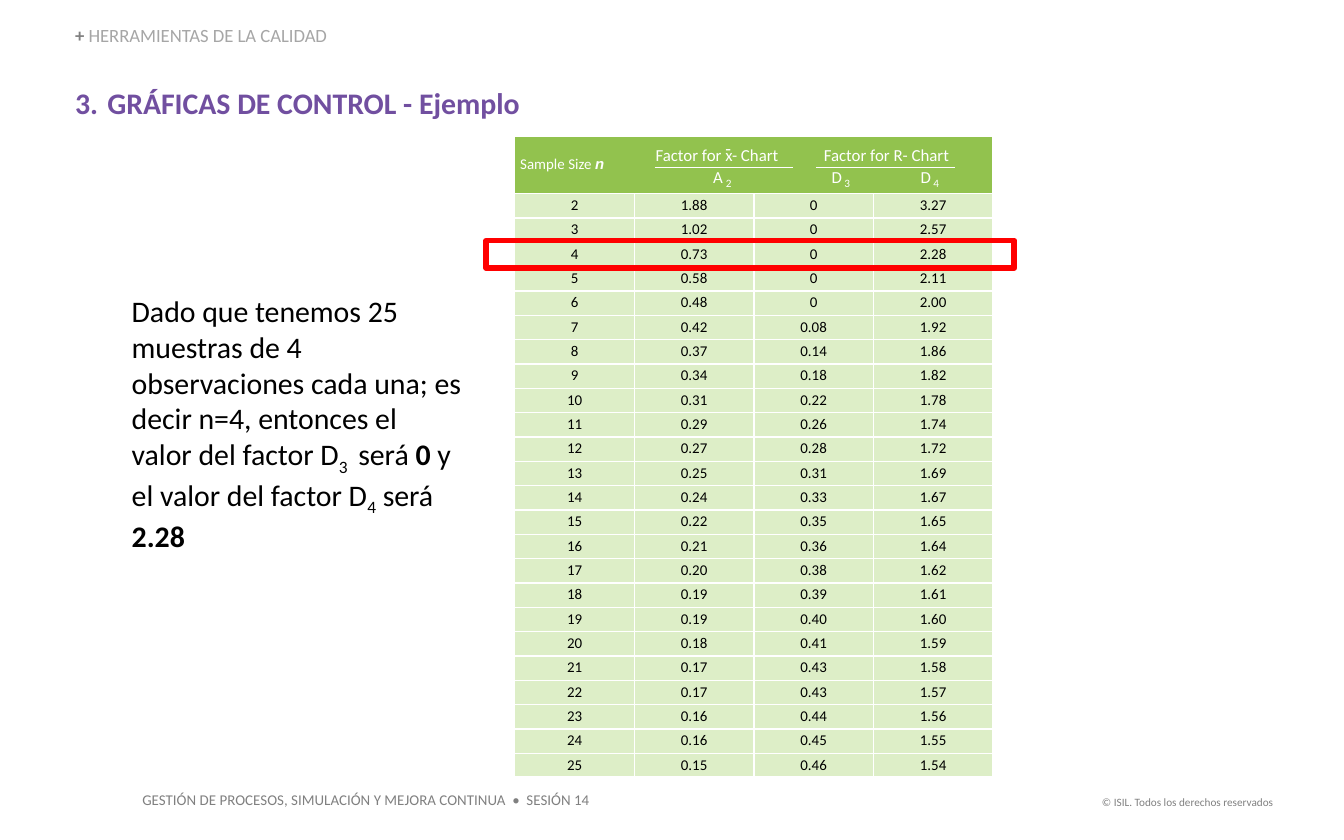
from dataclasses import dataclass

from lxml.etree import SubElement
from pptx import Presentation
from pptx.dml.color import RGBColor
from pptx.enum.shapes import MSO_CONNECTOR, MSO_SHAPE
from pptx.enum.text import MSO_ANCHOR, MSO_AUTO_SIZE, PP_ALIGN
from pptx.oxml import parse_xml
from pptx.oxml.ns import nsdecls, qn
from pptx.util import Cm, Pt


@dataclass(frozen=True)
class Theme:
    font: str = "Calibri"
    symbol_font: str = "Arial"
    black: str = "000000"
    white: str = "FFFFFF"
    gray: str = "808080"
    light_gray: str = "A6A6A6"
    purple: str = "714FA0"
    green: str = "92C24E"
    pale_green: str = "DDEEC7"
    red: str = "FF0000"
    heading: int = 16
    section: int = 10
    label: int = 9
    small: int = 8
    tiny: int = 6


T = Theme()

# Content
COPYRIGHT = "© ISIL. Todos los derechos reservados"
FOOTER = "GESTIÓN DE PROCESOS, SIMULACIÓN Y MEJORA CONTINUA  •  SESIÓN 14"
SECTION = [("+ ", {"bold": True}),
           ("HERRAMIENTAS DE LA CALIDAD", {"color": T.light_gray})]
TITLE, TITLE_NUMBER = "GRÁFICAS DE CONTROL - Ejemplo", 3
BODY = [
    ("Dado que tenemos 25 muestras de 4 observaciones cada una; es decir n=4, "
     "entonces el valor del factor D", {}),
    ("3 ", {"sub": True}), (" será ", {}), ("0 ", {"bold": True}),
    ("y el valor del factor D", {}), ("4", {"sub": True}), (" será ", {}),
    ("2.28", {"bold": True}),
]
SAMPLE_HEAD = [("Sample Size ", {}),
               ("n", {"bold": True, "italic": True, "font": T.symbol_font})]
FIRST_N, MARKED_N = 2, 4
A2 = ("1.88 1.02 0.73 0.58 0.48 0.42 0.37 0.34 0.31 0.29 0.27 0.25 "
      "0.24 0.22 0.21 0.20 0.19 0.19 0.18 0.17 0.17 0.16 0.16 0.15").split()
D3 = ("0 0 0 0 0 0.08 0.14 0.18 0.22 0.26 0.28 0.31 "
      "0.33 0.35 0.36 0.38 0.39 0.40 0.41 0.43 0.43 0.44 0.45 0.46").split()
D4 = ("3.27 2.57 2.28 2.11 2.00 1.92 1.86 1.82 1.78 1.74 1.72 1.69 "
      "1.67 1.65 1.64 1.62 1.61 1.60 1.59 1.58 1.57 1.56 1.55 1.54").split()
FACTORS = [(str(n), *row) for n, row in enumerate(zip(A2, D3, D4), FIRST_N)]

# Header labels: text, left, width (cm); symbols: letter, subscript, left
CHART_HEADS = [("Factor for x- Chart", 12.14, 2.84),
               ("Factor for R- Chart", 15.32, 3.28)]
SYMBOLS = [("A", "2", 13.23), ("D", "3", 15.47), ("D", "4", 17.15)]
RULES, RULE_Y, RULE_W = (12.37, 15.42), 3.17, 2.62

# Table geometry (cm)
LEFT, TOP, COL_W = 9.73, 2.57, 2.26
HEAD_H, ROW_H, LAST_H = 1.09, 0.46, 0.42


def add_runs(p, runs, size, color):
    for text, style in runs:
        r = p.add_run()
        r.text = text
        r.font.name = style.get("font", T.font)
        r.font.size = Pt(size)
        r.font.bold = style.get("bold", False)
        r.font.italic = style.get("italic", False)
        r.font.color.rgb = RGBColor.from_string(style.get("color", color))
        if style.get("sub"):
            r.font._element.set("baseline", "-25000")


def add_text(shapes, box, runs, size, color, margins=None, wrap=True):
    tf = shapes.add_textbox(*map(Cm, box)).text_frame
    tf.word_wrap = wrap
    tf.auto_size = MSO_AUTO_SIZE.SHAPE_TO_FIT_TEXT
    if margins:
        (tf.margin_left, tf.margin_top,
         tf.margin_right, tf.margin_bottom) = map(Cm, margins)
    p = tf.paragraphs[0]
    runs = [(runs, {})] if isinstance(runs, str) else runs
    add_runs(p, runs, size, color)
    return tf, p


def style_cell(cell, runs, fill, align):
    cell.margin_left = cell.margin_right = Cm(0.1)
    cell.margin_top = cell.margin_bottom = Cm(0.05)
    cell.fill.solid()
    cell.fill.fore_color.rgb = RGBColor.from_string(fill)
    for i, side in enumerate(("lnL", "lnR", "lnT", "lnB")):
        cell._tc.get_or_add_tcPr().insert(i, parse_xml(
            f'<a:{side} {nsdecls("a")} w="{Pt(0.75)}"><a:solidFill>'
            f'<a:srgbClr val="{T.white}"/></a:solidFill></a:{side}>'))
    p = cell.text_frame.paragraphs[0]
    p.alignment = align
    add_runs(p, runs, T.small, T.white if fill == T.green else T.black)


def add_factor_table(shapes):
    heights = [HEAD_H] + [ROW_H] * (len(FACTORS) - 1) + [LAST_H]
    table = shapes.add_table(len(heights), 4, Cm(LEFT), Cm(TOP),
                             Cm(4 * COL_W), Cm(sum(heights))).table
    for col in table.columns:
        col.width = Cm(COL_W)
    for row, height in zip(table.rows, heights):
        row.height = Cm(height)
    head = table.cell(0, 0)
    head.merge(table.cell(0, 3))
    head.vertical_anchor = MSO_ANCHOR.MIDDLE
    style_cell(head, SAMPLE_HEAD, T.green, PP_ALIGN.LEFT)
    for i, values in enumerate(FACTORS, 1):
        for j, value in enumerate(values):
            style_cell(table.cell(i, j), [(value, {})], T.pale_green, PP_ALIGN.CENTER)


def add_header_labels(shapes):
    for text, left, width in CHART_HEADS:
        add_text(shapes, (left, 2.62, width, 0.64), text, T.label, T.white)
    for letter, index, left in SYMBOLS:
        add_text(shapes, (left, 3.02, 0.64, 0.64), letter, T.label, T.white)
        add_text(shapes, (left + 0.24, 3.2, 0.64, 0.51), index, T.tiny, T.white)
    # Bar over the x
    add_text(shapes, (13.46, 2.46, 0.64, 0.69), "-", T.section, T.white)
    for left in RULES:
        line = shapes.add_connector(MSO_CONNECTOR.STRAIGHT, Cm(left), Cm(RULE_Y),
                                    Cm(left + RULE_W), Cm(RULE_Y))
        line.line.color.rgb = RGBColor.from_string(T.white)
        line.line.width = Pt(0.75)
        SubElement(line._element.spPr, qn("a:effectLst"))


def add_row_marker(shapes):
    top = TOP + HEAD_H + (MARKED_N - FIRST_N) * ROW_H - 0.03
    sp = shapes.add_shape(MSO_SHAPE.RECTANGLE, Cm(9.19), Cm(top), Cm(9.98), Cm(0.52))
    sp.shadow.inherit = False
    sp.fill.background()
    sp.line.color.rgb = RGBColor.from_string(T.red)
    sp.line.width = Pt(3)


def main():
    prs = Presentation()
    prs.slide_width, prs.slide_height = Cm(25.4), Cm(15.88)
    shapes = prs.slides.add_slide(prs.slide_layouts[6]).shapes

    # Footer
    _, p = add_text(shapes, (20.5, 14.91, 3.81, 0.51), COPYRIGHT, T.tiny, T.gray,
                    wrap=False)
    p.alignment = PP_ALIGN.RIGHT
    add_text(shapes, (2.44, 14.83, 8.97, 0.61), FOOTER, T.small, T.gray)

    # Section name and numbered title
    tf, p = add_text(shapes, (1.42, 0.51, 6.76, 0.38), SECTION, T.section, T.gray,
                     (0, 0, 0, 0))
    tf.vertical_anchor = MSO_ANCHOR.BOTTOM
    p.line_spacing = 0.9
    _, p = add_text(shapes, (1.42, 1.6, 22.45, 0.81), [(TITLE, {"bold": True})],
                    T.heading, T.purple, (0, 0, 0, 0.13))
    p.space_after = Pt(6)
    pPr = p._p.get_or_add_pPr()
    pPr.set("marL", str(Cm(0.61)))
    pPr.set("indent", str(-Cm(0.61)))
    SubElement(pPr, qn("a:buFont"), typeface="+mj-lt")
    SubElement(pPr, qn("a:buAutoNum"), type="arabicPeriod", startAt=str(TITLE_NUMBER))

    # Factor table with its header and marked row
    add_factor_table(shapes)
    add_header_labels(shapes)
    add_row_marker(shapes)

    # Explanation
    add_text(shapes, (2.24, 5.41, 6.76, 5.05), BODY, T.heading, T.black)
    prs.save("out.pptx")


if __name__ == "__main__":
    main()
